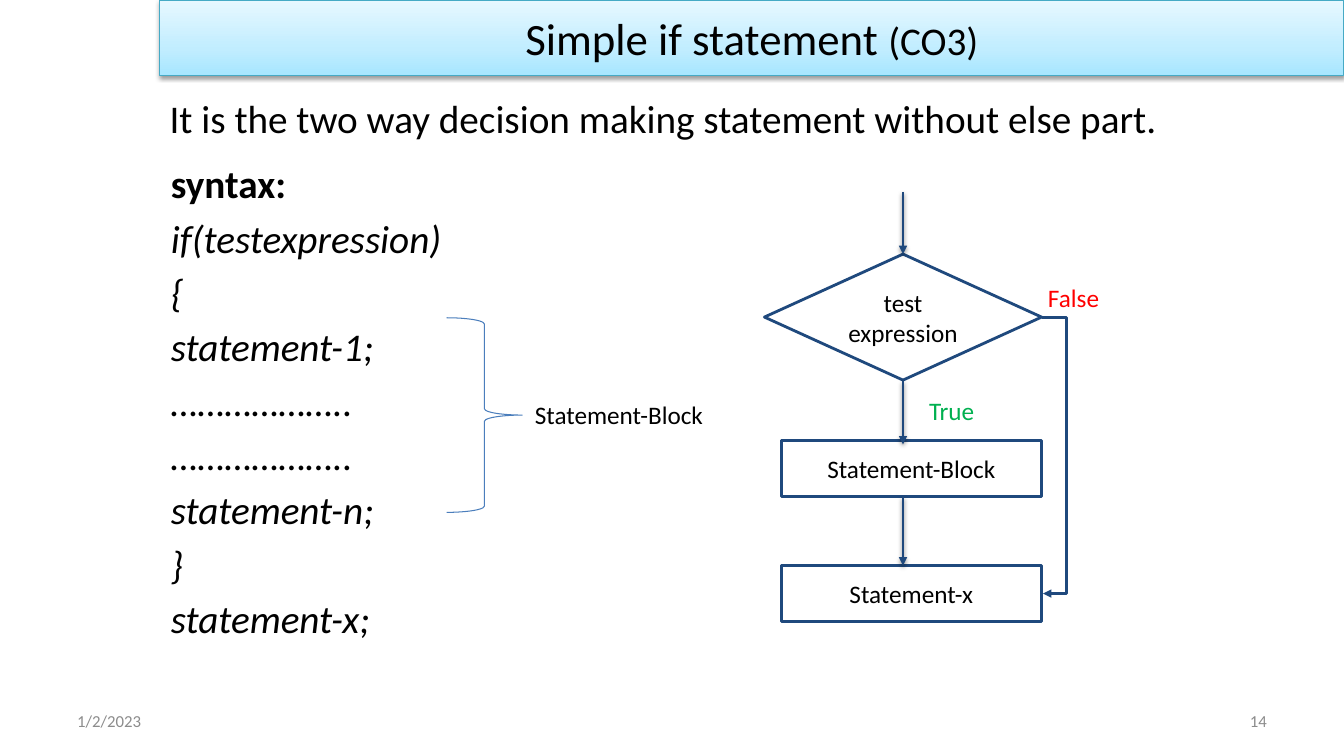
from copy import deepcopy

from lxml.etree import SubElement
from pptx import Presentation
from pptx.dml.color import RGBColor
from pptx.enum.shapes import MSO_CONNECTOR, MSO_SHAPE
from pptx.enum.text import MSO_ANCHOR, PP_ALIGN
from pptx.oxml.ns import qn
from pptx.util import Pt

BLACK = "000000"
GRAY = "8C8C8C"
NAVY = "1F497D"
FLOW_X = 645
SYNTAX_LINES = [
    "if(testexpression)", "{", "statement-1;", "………………..", "………………..",
    "statement-n;", "}", "statement-x;",
]


def color(value):
    return RGBColor.from_string(value)


def add_run(paragraph, text, size, fill=BLACK, bold=False, italic=False):
    run = paragraph.add_run()
    run.text = text
    run.font.name = "Calibri"
    run.font.size = Pt(size)
    run.font.bold = bold
    run.font.italic = italic
    run.font.color.rgb = color(fill)


def add_label(slide, text, box, size, fill=BLACK,
              align=PP_ALIGN.LEFT, anchor=MSO_ANCHOR.TOP):
    frame = slide.shapes.add_textbox(*map(Pt, box)).text_frame
    frame.word_wrap = True
    frame.vertical_anchor = anchor
    paragraph = frame.paragraphs[0]
    paragraph.alignment = align
    add_run(paragraph, text, size, fill)


def add_soft_shadow(effects):
    shadow = SubElement(effects, qn("a:outerShdw"), blurRad=str(Pt(3.1)),
                        dist=str(Pt(1.6)), dir="5400000", rotWithShape="0")
    tint = SubElement(shadow, qn("a:srgbClr"), val=BLACK)
    SubElement(tint, qn("a:alpha"), val="38000")


def add_outline(slide, kind, box, line, width):
    shape = slide.shapes.add_shape(kind, *map(Pt, box))
    shape.shadow.inherit = False
    shape.fill.background()
    shape.line.color.rgb = color(line)
    shape.line.width = Pt(width)
    return shape


def add_centered_runs(shape, runs):
    frame = shape.text_frame
    frame.word_wrap = True
    frame.vertical_anchor = MSO_ANCHOR.MIDDLE
    paragraph = frame.paragraphs[0]
    paragraph.alignment = PP_ALIGN.CENTER
    for text, size in runs:
        add_run(paragraph, text, size)


def add_flow_node(slide, kind, text, box):
    node = add_outline(slide, kind, box, NAVY, 2)
    node.fill.solid()
    node.fill.fore_color.rgb = color("FFFFFF")
    add_centered_runs(node, [(text, 18)])


def add_arrow(slide, start, end, kind=MSO_CONNECTOR.STRAIGHT):
    arrow = slide.shapes.add_connector(kind, *map(Pt, start + end))
    arrow.line.color.rgb = color(NAVY)
    arrow.line.width = Pt(2)
    properties = arrow._element.spPr
    SubElement(properties.find(qn("a:ln")), qn("a:tailEnd"), type="triangle")
    return arrow, SubElement(properties, qn("a:effectLst"))


def add_down_arrow(slide, top, bottom):
    effects = add_arrow(slide, (FLOW_X, top), (FLOW_X, bottom))[1]
    add_soft_shadow(effects)


def add_false_branch(slide):
    arrow = add_arrow(slide, (744, 227), (745, 424), MSO_CONNECTOR.ELBOW)[0]
    geometry = arrow._element.spPr.find(qn("a:prstGeom"))
    adjustments = geometry.find(qn("a:avLst"))
    if adjustments is None:
        adjustments = SubElement(geometry, qn("a:avLst"))
    SubElement(adjustments, qn("a:gd"), name="adj1", fmla="val 1800000")


def add_title_bar(slide):
    bar = add_outline(slide, MSO_SHAPE.RECTANGLE, (114, 0, 846, 54), "46AAC5", 0.75)
    bar.fill.gradient()
    bar.fill.gradient_angle = 90
    properties = bar._element.spPr
    stop_list = properties.find(qn("a:gradFill")).find(qn("a:gsLst"))
    stop_list.insert(1, deepcopy(stop_list[0]))
    shades = [(0, "A7E6FF"), (0.35, "C1EDFF"), (1, "E7F8FF")]
    for stop, (position, shade) in zip(bar.fill.gradient_stops, shades):
        stop.position = position
        stop.color.rgb = color(shade)
    add_soft_shadow(properties.find(qn("a:effectLst")))
    add_centered_runs(bar, [("Simple if statement ", 32), ("(CO3)", 28)])


def add_syntax(slide):
    frame = slide.shapes.add_textbox(Pt(115), Pt(110.5), Pt(387), Pt(374)).text_frame
    frame.word_wrap = True
    add_run(frame.paragraphs[0], "syntax:", 28, bold=True)
    for line in SYNTAX_LINES:
        paragraph = frame.add_paragraph()
        paragraph.space_before = Pt(5.2)
        add_run(paragraph, line, 28, italic=True)


def add_flowchart(slide):
    add_flow_node(slide, MSO_SHAPE.FLOWCHART_DECISION, "test expression",
                  (546, 181.5, 198, 90))
    for text, top in [("Statement-Block", 314.5), ("Statement-x", 404)]:
        add_flow_node(slide, MSO_SHAPE.FLOWCHART_PROCESS, text, (558, top, 186, 40))
    for top, bottom in [(137, 181.5), (272, 317.5), (355, 404)]:
        add_down_arrow(slide, top, bottom)
    add_false_branch(slide)
    add_label(slide, "False", (741.5, 198, 61, 29), 18, "FF0000")
    add_label(slide, "True", (656.5, 278.5, 57, 29), 18, "00B050")


def main():
    presentation = Presentation()
    presentation.slide_width = Pt(960)
    presentation.slide_height = Pt(540)
    slide = presentation.slides.add_slide(presentation.slide_layouts[6])
    add_syntax(slide)
    add_label(slide, "1/2/2023", (48, 500.5, 224, 29), 12, GRAY,
              anchor=MSO_ANCHOR.MIDDLE)
    add_label(slide, "14", (688, 500.5, 224, 29), 12, GRAY,
              PP_ALIGN.RIGHT, MSO_ANCHOR.MIDDLE)
    add_title_bar(slide)
    add_flowchart(slide)
    add_outline(slide, MSO_SHAPE.RIGHT_BRACE, (319, 227, 54, 139), "4B7EBC", 0.75)
    add_label(slide, "Statement-Block", (375, 281.5, 141, 29), 18)
    add_label(slide, "It is the two way decision making statement without else part.",
              (114, 64, 768, 41), 28)
    presentation.save("out.pptx")


if __name__ == "__main__":
    main()
